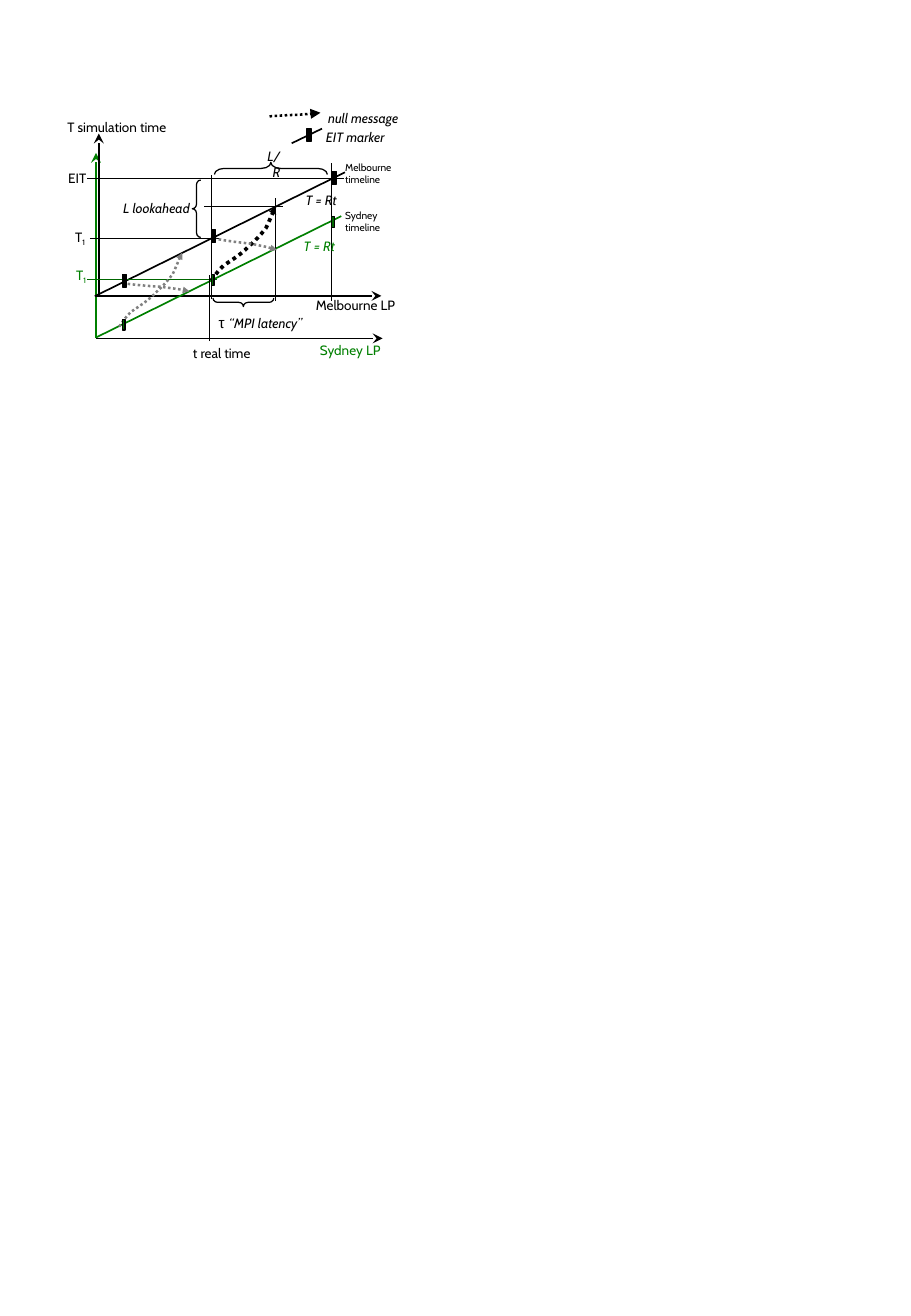
from copy import deepcopy
from dataclasses import dataclass

from lxml import etree
from pptx import Presentation
from pptx.dml.color import RGBColor
from pptx.enum import dml, shapes, text
from pptx.oxml.ns import qn
from pptx.util import Pt

BLACK = RGBColor(0x00, 0x00, 0x00)
GREEN = RGBColor(0x00, 0x80, 0x00)
DARK_GREEN = RGBColor(0x00, 0x66, 0x00)
GRAY = RGBColor(0x80, 0x80, 0x80)

PROGRESS = (0, .03, .08, .19, .29, .48, .58, .69, .77, .85, .9, .96, 1)
BENT = (0, .03, .11, .2, .26, .36, .46, .54, .62, .71, .8, .93, 1)
GENTLE = (0, .07, .12, .22, .3, .43, .47, .6, .66, .77, .83, .92, 1)
CURVE_STEPS = 6


@dataclass
class Line:
    x1: float
    y1: float
    x2: float
    y2: float
    width: float = 0.5
    color: RGBColor = BLACK
    arrow: str = ""


@dataclass
class Message:
    x: float
    y: float
    dx: float
    dy: float
    profile: tuple[float, ...] = GENTLE
    width: float = 1.5
    color: RGBColor = GRAY
    arrow_size: str = "sm"


@dataclass
class Brace:
    kind: shapes.MSO_SHAPE
    x: float
    y: float
    width: float
    height: float
    curl: float
    rotation: float = 0


@dataclass
class Marker:
    x: float
    y: float
    width: float
    height: float
    color: RGBColor = BLACK


@dataclass
class Label:
    text: str
    x: float
    y: float
    width: float
    height: float
    color: RGBColor = BLACK
    size: float = 8
    italic: bool = False
    right: bool = False
    wrap: bool = False
    padded: bool = False
    subscript: str = ""
    symbol: str = ""


LINES = [
    Line(56.9, 200.2, 56.9, 90.7, 1, GREEN, "stealth"),
    Line(56.9, 200.7, 226.8, 200.7, 1, BLACK, "stealth"),
    Line(56.9, 175.5, 226.1, 175.5, 1, BLACK, "stealth"),
    Line(58.6, 175, 58.6, 79.2, 1, BLACK, "stealth"),
    Line(56.2, 175.7, 204.5, 102.2, 1),
    Line(56.9, 200.2, 202.3, 128.2, 1, GREEN),
    Line(125.3, 177.1, 125.3, 103.7),
    Line(196.4, 178.6, 196.4, 96.5),
    Line(163.4, 178.6, 163.4, 117.4),
    Line(51.8, 105.8, 203.8, 105.8),
    Line(121, 122.4, 167.8, 122.4),
    Line(53.3, 141.4, 130.3, 141.4),
    Line(51.8, 165.8, 128.9, 165.8, 0.5, DARK_GREEN),
    Line(124.4, 202.3, 124.4, 163.4, 0.75),
    Line(172.9, 85, 190.9, 76.3, 1),
]

MESSAGES = [
    Message(125.3, 166.3, 38.2, -43.9, BENT, 2.25, BLACK),
    Message(70.6, 193.7, 37.4, -43.9, BENT),
    Message(126.7, 141.1, 37.4, 7.2),
    Message(72.7, 167.8, 39.6, 5),
    Message(159.8, 69.1, 30.2, -2.2, color=BLACK, arrow_size="med"),
]

BRACES = [
    Brace(shapes.MSO_SHAPE.LEFT_BRACE, 141.8, 161.3, 5, 36, .55, 270),
    Brace(shapes.MSO_SHAPE.LEFT_BRACE, 114, 106.8, 5, 34, .55),
    Brace(shapes.MSO_SHAPE.RIGHT_BRACE, 157, 66.4, 7.2, 67, .8, 270),
]

SYDNEY_SHIFT = 26.6
EVENTS = [(196.6, 101.7, 2.9), (125.2, 136.3, 2.5), (72.5, 162.7, 2.5)]
MARKERS = [Marker(x, y, width, 7.5) for x, y, width in EVENTS]
MARKERS += [Marker(x, y + SYDNEY_SHIFT, 1.7, 6.5, DARK_GREEN) for x, y, _ in EVENTS]
MARKERS.append(Marker(182, 76.2, 2.3, 7.7))

LABELS = [
    Label("Sydney LP", 189.6, 203, 44, 9.4, GREEN, wrap=True),
    Label("Melbourne LP", 187.2, 176, 53.3, 9.4, wrap=True),
    Label("T simulation time", 39.9, 70.4, 65.5, 9.4),
    Label("t real time", 107.3, 200.9, 52.6, 17.3, padded=True),
    Label("EIT", 40.4, 101, 11.5, 9.4),
    Label("T", 45.2, 158.4, 7.2, 10.8, GREEN, subscript="1"),
    Label("T", 44.5, 135.6, 7.2, 10.8, subscript="1"),
    Label("“MPI latency”", 122.6, 182.4, 67.7, 18, italic=True, padded=True, symbol="τ "),
    Label("L lookahead", 62.1, 115.2, 57.6, 17.3, italic=True, right=True, padded=True),
    Label("L/R", 148, 84.3, 25.2, 17.3, italic=True, right=True, wrap=True, padded=True),
    Label("T = Rt", 172.1, 110.2, 34.6, 17.3, italic=True, right=True, padded=True),
    Label("T = Rt", 171, 137.9, 34.6, 17.3, GREEN, italic=True, right=True, padded=True),
    Label("EIT marker", 186.1, 72.7, 53.3, 17.3, italic=True, padded=True),
    Label("null message", 187.4, 61.5, 61.2, 17.3, italic=True, padded=True),
    Label("Melbourne\vtimeline", 204.6, 95.8, 30.2, 21.6, size=6, wrap=True),
    Label("Sydney\vtimeline", 204.6, 124.2, 30.2, 14.4, size=6, wrap=True),
]


def style_line(shape, width: float, color: RGBColor, arrow: str = "", size: str = "med") -> None:
    shape.line.width = Pt(width)
    shape.line.color.rgb = color
    if arrow:
        outline = shape.element.spPr.find(qn("a:ln"))
        etree.SubElement(outline, qn("a:tailEnd"), type=arrow, w=size, len=size)


def draw_line(page, line: Line) -> None:
    connector = page.shapes.add_connector(
        shapes.MSO_CONNECTOR.STRAIGHT, Pt(line.x1), Pt(line.y1), Pt(line.x2), Pt(line.y2))
    style_line(connector, line.width, line.color, line.arrow)
    etree.SubElement(connector.element.spPr, qn("a:effectLst"))


def bezier(a: float, b: float, c: float, d: float, t: float) -> float:
    s = 1 - t
    return s**3 * a + 3 * s * s * t * b + 3 * s * t * t * c + t**3 * d


def draw_message(page, message: Message) -> None:
    points = []
    for start in range(0, len(PROGRESS) - 1, 3):
        for step in range(1, CURVE_STEPS + 1):
            t = step / CURVE_STEPS
            across = bezier(*PROGRESS[start:start + 4], t)
            along = bezier(*message.profile[start:start + 4], t)
            points.append((Pt(message.x + message.dx * across), Pt(message.y + message.dy * along)))
    builder = page.shapes.build_freeform(Pt(message.x), Pt(message.y))
    builder.add_line_segments(points, close=False)
    curve = builder.convert_to_shape()
    curve.shadow.inherit = False
    curve.fill.background()
    curve.line.dash_style = dml.MSO_LINE.ROUND_DOT
    style_line(curve, message.width, message.color, "triangle", message.arrow_size)


def draw_brace(page, brace: Brace) -> None:
    shape = page.shapes.add_shape(
        brace.kind, Pt(brace.x), Pt(brace.y), Pt(brace.width), Pt(brace.height))
    shape.adjustments[0] = brace.curl
    shape.rotation = brace.rotation
    shape.shadow.inherit = False
    shape.fill.background()
    style_line(shape, 0.75, BLACK)


def draw_marker(page, marker: Marker) -> None:
    shape = page.shapes.add_shape(
        shapes.MSO_SHAPE.RECTANGLE, Pt(marker.x), Pt(marker.y), Pt(marker.width), Pt(marker.height))
    shape.shadow.inherit = False
    shape.fill.solid()
    shape.fill.fore_color.rgb = marker.color
    style_line(shape, 0.75, BLACK)


def draw_label(page, label: Label) -> None:
    box = page.shapes.add_textbox(Pt(label.x), Pt(label.y), Pt(label.width), Pt(label.height))
    frame = box.text_frame
    frame.word_wrap = label.wrap
    frame.auto_size = text.MSO_AUTO_SIZE.SHAPE_TO_FIT_TEXT
    frame.margin_left = frame.margin_right = Pt(7.2 if label.padded else 0)
    frame.margin_top = frame.margin_bottom = Pt(3.6 if label.padded else 0)
    para = frame.paragraphs[0]
    para.alignment = text.PP_ALIGN.RIGHT if label.right else text.PP_ALIGN.LEFT
    para.text = label.symbol or label.text
    extra = label.text if label.symbol else label.subscript
    if extra:
        para.add_run().text = extra
    for span in para.runs:
        span.font.name = "Cabin"
        span.font.size = Pt(label.size)
        span.font.italic = label.italic
        span.font.color.rgb = label.color
    if label.symbol:
        para.runs[0].font.name = "Arial"
        para.runs[0].font.size = Pt(9)
        para.runs[0].font.italic = False
    if label.subscript:
        para.runs[1].font._element.set("baseline", "-25000")
    for line_break in box.element.iter(qn("a:br")):
        line_break.append(deepcopy(para.runs[0].font._element))


def main() -> None:
    deck = Presentation()
    deck.slide_width, deck.slide_height = Pt(540), Pt(780.48)
    page = deck.slides.add_slide(deck.slide_layouts[6])
    for items, draw in ((LINES, draw_line), (MESSAGES, draw_message), (BRACES, draw_brace),
                        (LABELS, draw_label), (MARKERS, draw_marker)):
        for item in items:
            draw(page, item)
    deck.save("out.pptx")


if __name__ == "__main__":
    main()
